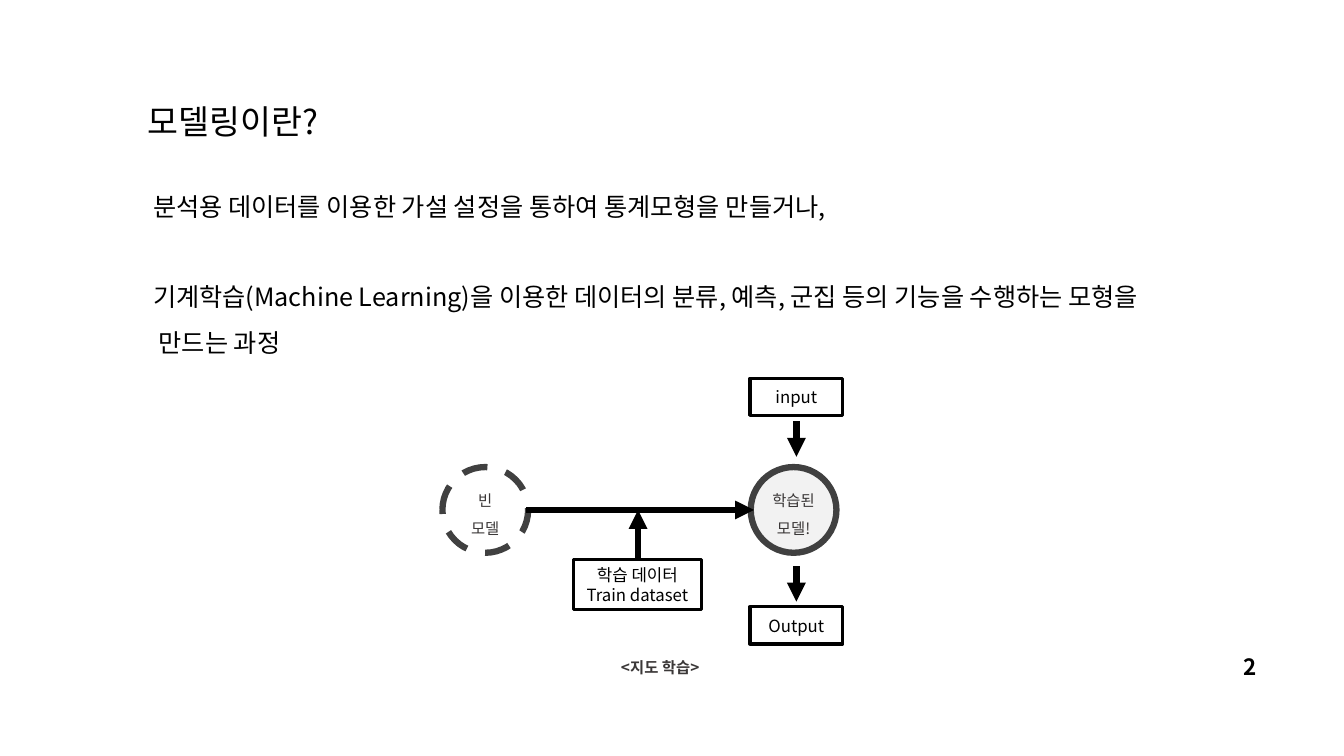
from lxml.etree import SubElement
from pptx import Presentation
from pptx.dml.color import RGBColor
from pptx.enum.dml import MSO_LINE
from pptx.enum.shapes import MSO_CONNECTOR, MSO_SHAPE
from pptx.enum.text import MSO_ANCHOR as ANCHOR, PP_ALIGN as ALIGN
from pptx.oxml.ns import qn
from pptx.util import Cm, Pt

BLACK, WHITE = "000000", "FFFFFF"
GREY, PALE, LABEL = "404040", "F2F2F2", "3B3838"


def color(hex_code):
    return RGBColor.from_string(hex_code)


class Board:
    """Holds the font and the slide being drawn; lengths are centimetres."""

    font_name = "Noto Sans CJK KR"

    def __init__(self, slide):
        self.slide = slide
        self.shapes = slide.shapes

    def fill_text(self, frame, lines, size, ink=BLACK, align=ALIGN.LEFT,
                  anchor=ANCHOR.MIDDLE, spacing=None, bold=False):
        frame.word_wrap = True
        frame.vertical_anchor = anchor
        for number, line in enumerate(lines):
            paragraph = frame.add_paragraph() if number else frame.paragraphs[0]
            paragraph.text = line
            paragraph.alignment = align
            paragraph.line_spacing = spacing
            font = paragraph.font
            font.size, font.bold, font.name = Pt(size), bold, self.font_name
            font.color.rgb = color(ink)
            defaults = paragraph._p.pPr.find(qn("a:defRPr"))
            SubElement(defaults, qn("a:ea"), typeface=self.font_name)

    def text(self, box, lines, size, **style):
        frame = self.shapes.add_textbox(*map(Cm, box)).text_frame
        self.fill_text(frame, lines, size, **style)
        return frame

    def shape(self, kind, box, fill, line, width, dash=None):
        shape = self.shapes.add_shape(kind, *map(Cm, box))
        shape.shadow.inherit = False
        shape.fill.solid()
        shape.fill.fore_color.rgb = color(fill)
        shape.line.color.rgb = color(line)
        shape.line.width = Pt(width)
        shape.line.dash_style = dash
        return shape

    def data_box(self, box, lines):
        shape = self.shape(MSO_SHAPE.RECTANGLE, box, WHITE, BLACK, 2.25)
        self.fill_text(shape.text_frame, lines, 12, align=ALIGN.CENTER)

    def model(self, center_x, center_y, lines, fill, dash=None):
        size, label_w, label_h = 2.16, 2.67, 1.55
        self.shape(MSO_SHAPE.OVAL, (center_x - size / 2, center_y - size / 2, size, size),
                   fill, GREY, 4.5, dash)
        self.text((center_x - label_w / 2, center_y - label_h / 2, label_w, label_h),
                  lines, 11, ink=LABEL, align=ALIGN.CENTER, spacing=1.5)

    def arrow(self, *ends):
        arrow = self.shapes.add_connector(MSO_CONNECTOR.STRAIGHT, *map(Cm, ends))
        arrow.line.color.rgb = color(BLACK)
        arrow.line.width = Pt(4.5)
        properties = arrow._element.spPr
        SubElement(properties.find(qn("a:ln")), qn("a:tailEnd"), type="triangle")
        SubElement(properties, qn("a:effectLst"))


deck = Presentation()
deck.slide_width, deck.slide_height = Cm(33.87), Cm(19.05)
board = Board(deck.slides.add_slide(deck.slide_layouts[6]))

# Title and definition
board.text((3.48, 2.41, 11.05, 1.27), ["모델링이란?"], 24, anchor=ANCHOR.TOP)
definition = board.text(
    (3.61, 4.32, 28.24, 4.7),
    ["분석용 데이터를 이용한 가설 설정을 통하여 통계모형을 만들거나,",
     "기계학습(Machine Learning)을 이용한 데이터의 분류, 예측, 군집 등의 기능을 수행하는 모형을",
     " 만드는 과정"],
    18, anchor=ANCHOR.TOP, spacing=1.5)
definition.paragraphs[0].space_after = Pt(32)

# Training: empty model to trained model
flow_y, train_x, data_x = 12.85, 16.08, 20.07
board.arrow(train_x, 14.1, train_x, flow_y)
board.model(12.23, flow_y, ["빈", "모델"], WHITE, MSO_LINE.DASH)
board.model(20, flow_y, ["학습된", "모델!"], PALE)
board.arrow(13.26, flow_y, 19, flow_y)
board.data_box((14.45, 14.1, 3.23, 1.27), ["학습 데이터", "Train dataset"])

# Input and output of the trained model
for name, box_top, arrow_top in (("input", 9.53, 10.62), ("Output", 15.29, 14.27)):
    board.data_box((data_x - 1.17, box_top, 2.34, 0.94), [name])
    board.arrow(data_x, arrow_top, data_x, arrow_top + 0.89)

# Caption and page number
board.text((14.99, 16.26, 3.3, 0.86), ["<지도 학습>"], 11, ink=LABEL,
           align=ALIGN.CENTER, spacing=1.5, bold=True)
board.text((24.31, 16.28, 7.62, 1.02), ["2"], 16, align=ALIGN.RIGHT, bold=True)

deck.save("out.pptx")
